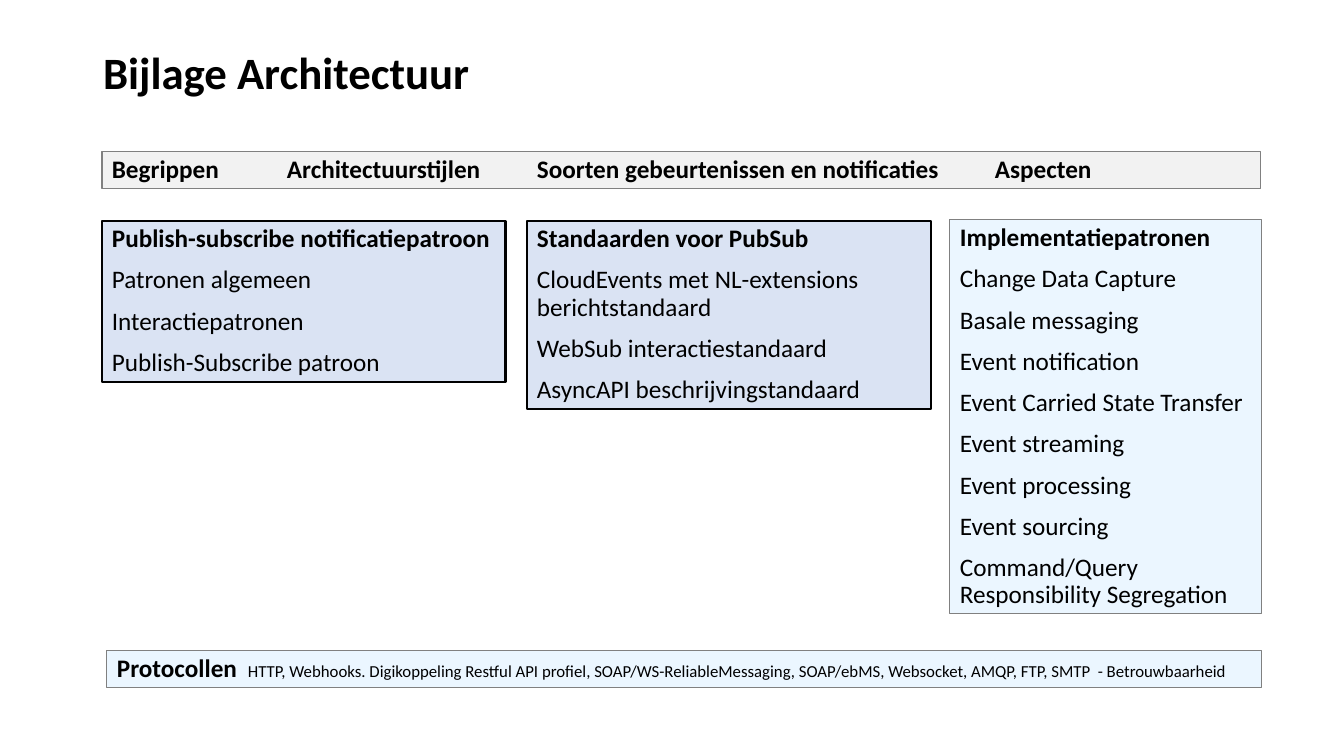
from lxml import etree
from pptx import Presentation
from pptx.dml.color import RGBColor
from pptx.enum.shapes import MSO_SHAPE
from pptx.enum.text import MSO_ANCHOR, MSO_AUTO_SIZE, PP_ALIGN
from pptx.oxml.ns import qn
from pptx.util import Emu, Pt

COLORS = {
    "text": "000000",
    "header": "F2F2F2",
    "pattern": "DAE3F3",
    "detail": "EBF6FF",
    "thin_line": "808080",
    "thick_line": "000000",
}
FONT = "Calibri"
TITLE_ONLY_LAYOUT = 5


def px(length):
    return Emu(round(length * 914400 / 100.8))


def color(name):
    return RGBColor.from_string(COLORS[name])


def add_run(paragraph, text, size=18, bold=False):
    run = paragraph.add_run()
    run.text = text
    run.font.name = FONT
    run.font.size = Pt(size)
    run.font.bold = bold
    run.font.color.rgb = color("text")


def format_paragraph(paragraph, space_before=10):
    paragraph.alignment = PP_ALIGN.LEFT
    paragraph.line_spacing = 0.9
    paragraph.space_before = Pt(space_before)


def set_tab_stops(paragraph, positions):
    """Set left tab stops, measured in px from the start of the text."""
    tab_list = etree.SubElement(paragraph._p.get_or_add_pPr(), qn("a:tabLst"))
    for position in positions:
        etree.SubElement(tab_list, qn("a:tab"), pos=str(px(position)), algn="l")


def add_title(slide, box, text):
    title = slide.shapes.title
    title.left, title.top, title.width, title.height = map(px, box)
    frame = title.text_frame
    frame.auto_size = MSO_AUTO_SIZE.NONE
    frame.vertical_anchor = MSO_ANCHOR.MIDDLE
    paragraph = frame.paragraphs[0]
    format_paragraph(paragraph, space_before=0)
    add_run(paragraph, text, size=32, bold=True)


def add_box(slide, box, fill, thick=False):
    """Add a bordered rectangle and return its text frame."""
    shape = slide.shapes.add_shape(MSO_SHAPE.RECTANGLE, *map(px, box))
    shape.shadow.inherit = False
    shape.fill.solid()
    shape.fill.fore_color.rgb = color(fill)
    shape.line.color.rgb = color("thick_line" if thick else "thin_line")
    shape.line.width = Pt(2 if thick else 0)
    frame = shape.text_frame
    frame.word_wrap = True
    frame.auto_size = MSO_AUTO_SIZE.SHAPE_TO_FIT_TEXT
    frame.vertical_anchor = MSO_ANCHOR.TOP
    return frame


def add_bar(slide, box, fill, tab_stops, runs):
    """Add a one-line bar whose runs (text, size, bold) are spaced by tabs."""
    paragraph = add_box(slide, box, fill).paragraphs[0]
    format_paragraph(paragraph)
    set_tab_stops(paragraph, tab_stops)
    for text, size, bold in runs:
        add_run(paragraph, text, size, bold)


def add_list_box(slide, box, fill, thick, heading, items):
    frame = add_box(slide, box, fill, thick)
    for index, text in enumerate([heading, *items]):
        paragraph = frame.add_paragraph() if index else frame.paragraphs[0]
        format_paragraph(paragraph)
        add_run(paragraph, text, bold=index == 0)


LIST_BOXES = [
    ((102, 221, 404, 161), "pattern", True, "Publish-subscribe notificatiepatroon",
     ["Patronen algemeen", "Interactiepatronen", "Publish-Subscribe patroon"]),
    ((527, 221, 404, 188), "pattern", True, "Standaarden voor PubSub",
     ["CloudEvents met NL-extensions berichtstandaard",
      "WebSub interactiestandaard", "AsyncAPI beschrijvingstandaard"]),
    ((950, 220, 312, 394), "detail", False, "Implementatiepatronen",
     ["Change Data Capture", "Basale messaging", "Event notification",
      "Event Carried State Transfer", "Event streaming", "Event processing",
      "Event sourcing", "Command/Query Responsibility Segregation"]),
]
TOPICS = ["Begrippen", "Architectuurstijlen",
          "Soorten gebeurtenissen en notificaties", "Aspecten"]
PROTOCOLS = ("HTTP, Webhooks. Digikoppeling Restful API profiel, "
             "SOAP/WS-ReliableMessaging, SOAP/ebMS, Websocket, AMQP, FTP, SMTP"
             "\u00a0 - Betrouwbaarheid").replace("\u00a0", " ")


def build_architecture_slide(presentation):
    slide = presentation.slides.add_slide(
        presentation.slide_layouts[TITLE_ONLY_LAYOUT])
    add_title(slide, (93, 40, 1159, 70), "Bijlage Architectuur")
    add_bar(slide, (102, 152, 1159, 37), "header", [175, 425, 883],
            [("\t".join(TOPICS), 18, True)])
    for list_box in LIST_BOXES:
        add_list_box(slide, *list_box)
    add_bar(slide, (107, 651, 1155, 37), "detail", [131],
            [("Protocollen\t", 18, True), (PROTOCOLS, 12, False)])


def main():
    presentation = Presentation()
    presentation.slide_width, presentation.slide_height = px(1344), px(756)
    build_architecture_slide(presentation)
    presentation.save("out.pptx")


if __name__ == "__main__":
    main()
